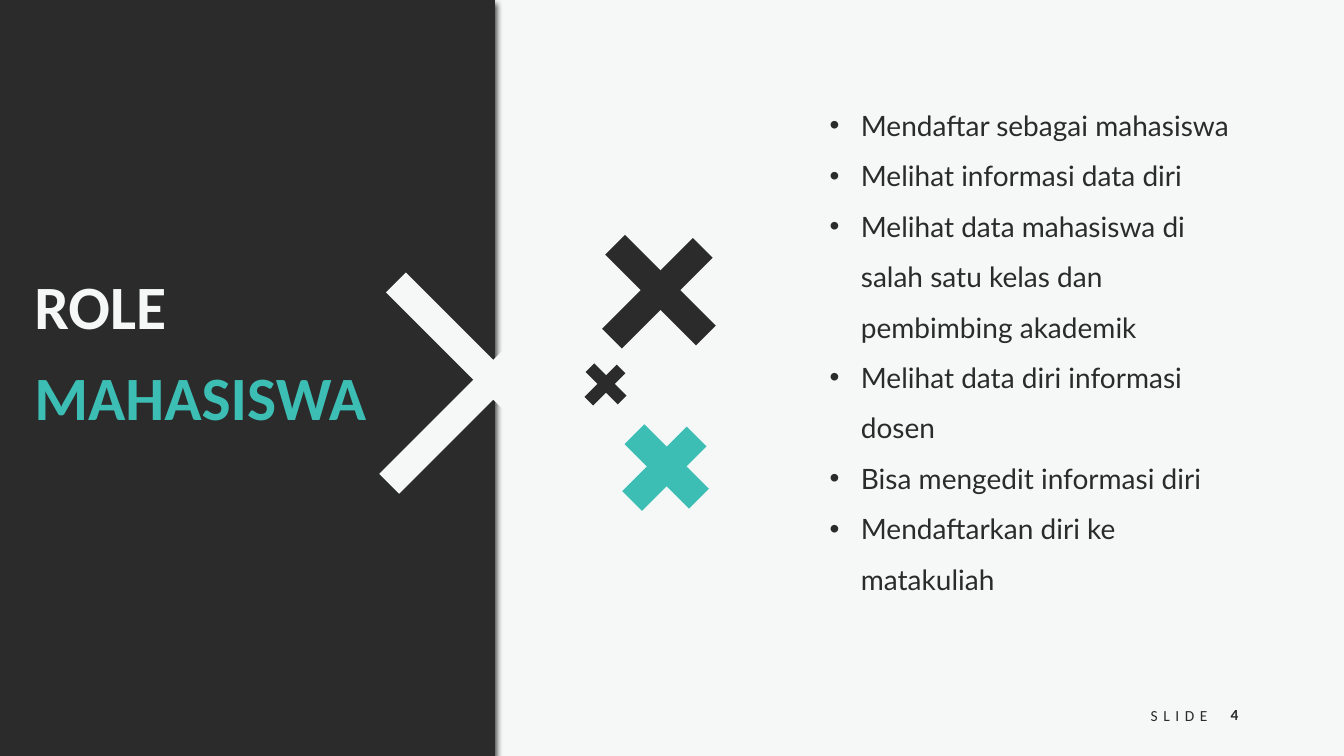
from dataclasses import dataclass

from lxml.etree import SubElement
from pptx import Presentation
from pptx.dml.color import RGBColor
from pptx.enum.shapes import MSO_CONNECTOR, MSO_SHAPE
from pptx.enum.text import MSO_ANCHOR, MSO_AUTO_SIZE, PP_ALIGN
from pptx.oxml.ns import qn
from pptx.util import Inches, Pt


@dataclass(frozen=True)
class Theme:
    dark: RGBColor = RGBColor(0x2B, 0x2B, 0x2B)
    light: RGBColor = RGBColor(0xF6, 0xF8, 0xF8)
    teal: RGBColor = RGBColor(0x3C, 0xBE, 0xB4)
    heading_font: str = "Calibri"
    body_font: str = "Lato"
    title_size: int = 44
    body_size: int = 20
    footer_size: int = 11


THEME = Theme()

# Content
TITLE = [("ROLE", THEME.light), ("MAHASISWA", THEME.teal)]
DUTIES = [
    "Mendaftar sebagai mahasiswa",
    "Melihat informasi data diri",
    "Melihat data mahasiswa di salah satu kelas dan pembimbing akademik",
    "Melihat data diri informasi dosen",
    "Bisa mengedit informasi diri",
    "Mendaftarkan diri ke matakuliah",
]
# text, box, bold, wrap, letter spacing in hundredths of a point
FOOTER = [
    ("4", (12.01, 6.86, 0.47, 0.45), True, True, 0),
    ("SLIDE", (11.26, 6.95, 0.87, 0.29), False, False, 400),
]
# left and top of the rising stroke, stroke span, line width, colour
CROSSES = [
    (3.86, 2.87, 1.93, 20, THEME.light),
    (5.84, 3.66, 0.32, 8.75, THEME.dark),
    (6.07, 2.46, 0.90, 20, THEME.dark),
    (6.27, 4.33, 0.64, 20, THEME.teal),
]
STROKE_SHIFT = 0.035  # falling stroke sits up and right by this share of the span


def inches(*lengths):
    return [Inches(length) for length in lengths]


def style(para, font, size, color, bold=False):
    for span in para.runs:
        span.font.name = font
        span.font.size = Pt(size)
        span.font.bold = bold
        span.font.color.rgb = color


def add_panel(page):
    panel = page.shapes.add_shape(MSO_SHAPE.RECTANGLE, *inches(0, 0, 4.91, 7.5))
    panel.fill.solid()
    panel.fill.fore_color.rgb = THEME.dark
    panel.line.fill.background()
    panel.shadow.inherit = False
    effects = panel._element.spPr.find(qn("a:effectLst"))
    shadow = SubElement(effects, qn("a:outerShdw"), blurRad=str(Pt(4)),
                        dist=str(Pt(3)), dir=str(69 * 60000), rotWithShape="0")
    color = SubElement(shadow, qn("a:srgbClr"), val="000000")
    SubElement(color, qn("a:alpha"), val="69000")


def add_title(page):
    title = page.shapes.title
    title.left, title.top, title.width, title.height = inches(0.24, 2.61, 4.58, 1.75)
    frame = title.text_frame
    frame.text = "\n".join(text for text, _ in TITLE)
    frame.auto_size = MSO_AUTO_SIZE.NONE
    frame.vertical_anchor = MSO_ANCHOR.TOP
    for para, (_, color) in zip(frame.paragraphs, TITLE):
        para.alignment = PP_ALIGN.LEFT
        para.space_after = Pt(12)
        style(para, THEME.heading_font, THEME.title_size, color, bold=True)
    # Bring the title in front of the panel
    page.shapes._spTree.append(title._element)


def add_duties(page):
    box = page.shapes.add_textbox(*inches(8.13, 0.86, 4.19, 5.59))
    frame = box.text_frame
    frame.word_wrap = True
    frame.text = "\n".join(DUTIES)
    for para in frame.paragraphs:
        para.line_spacing = 1.5
        properties = para._p.get_or_add_pPr()
        properties.set("marL", str(Inches(0.31)))
        properties.set("indent", str(Inches(-0.31)))
        SubElement(properties, qn("a:buFont"), typeface="Arial")
        SubElement(properties, qn("a:buChar"), char="•")
        style(para, THEME.body_font, THEME.body_size, THEME.dark)


def add_footer(page):
    for text, place, bold, wrap, spacing in FOOTER:
        frame = page.shapes.add_textbox(*inches(*place)).text_frame
        frame.text = text
        frame.word_wrap = wrap
        frame.vertical_anchor = MSO_ANCHOR.MIDDLE
        para = frame.paragraphs[0]
        para.alignment = PP_ALIGN.CENTER
        style(para, THEME.heading_font, THEME.footer_size, THEME.dark, bold)
        if spacing:
            para.runs[0].font._element.set("spc", str(spacing))


def add_cross(page, left, top, span, width, color):
    group = page.shapes.add_group_shape()
    shift = span * STROKE_SHIFT
    rising = (left + span, top, left, top + span)
    falling = (left + span + shift, top + span - shift, left + shift, top - shift)
    for ends in (rising, falling):
        stroke = group.shapes.add_connector(MSO_CONNECTOR.STRAIGHT, *inches(*ends))
        stroke.line.color.rgb = color
        stroke.line.width = Pt(width)
        SubElement(stroke._element.spPr, qn("a:effectLst"))


def main():
    deck = Presentation()
    deck.slide_width, deck.slide_height = inches(13.33, 7.5)
    page = deck.slides.add_slide(deck.slide_layouts[5])
    page.background.fill.solid()
    page.background.fill.fore_color.rgb = THEME.light

    add_footer(page)
    add_panel(page)
    add_title(page)
    add_duties(page)
    for cross in CROSSES:
        add_cross(page, *cross)
    deck.save("out.pptx")


if __name__ == "__main__":
    main()
